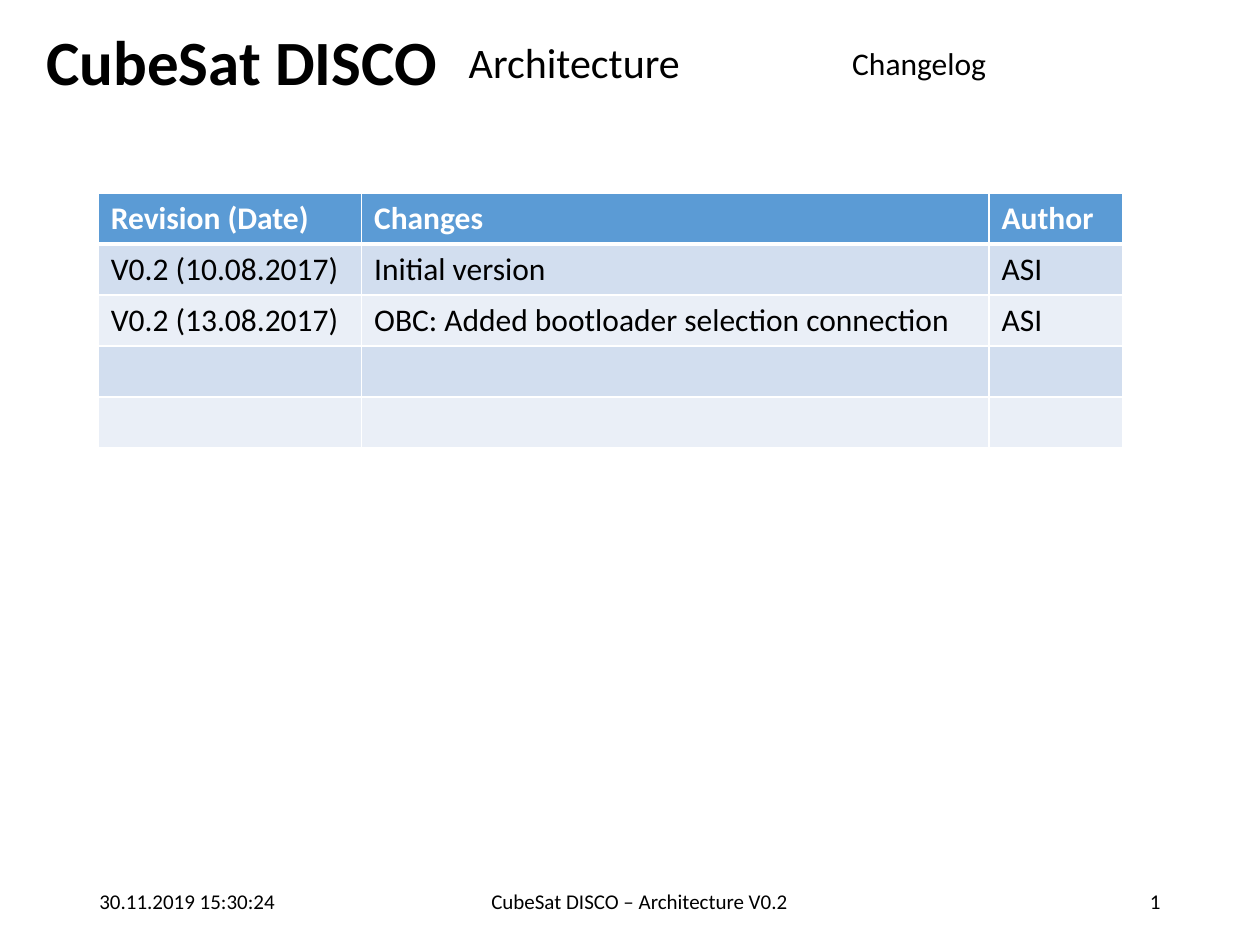
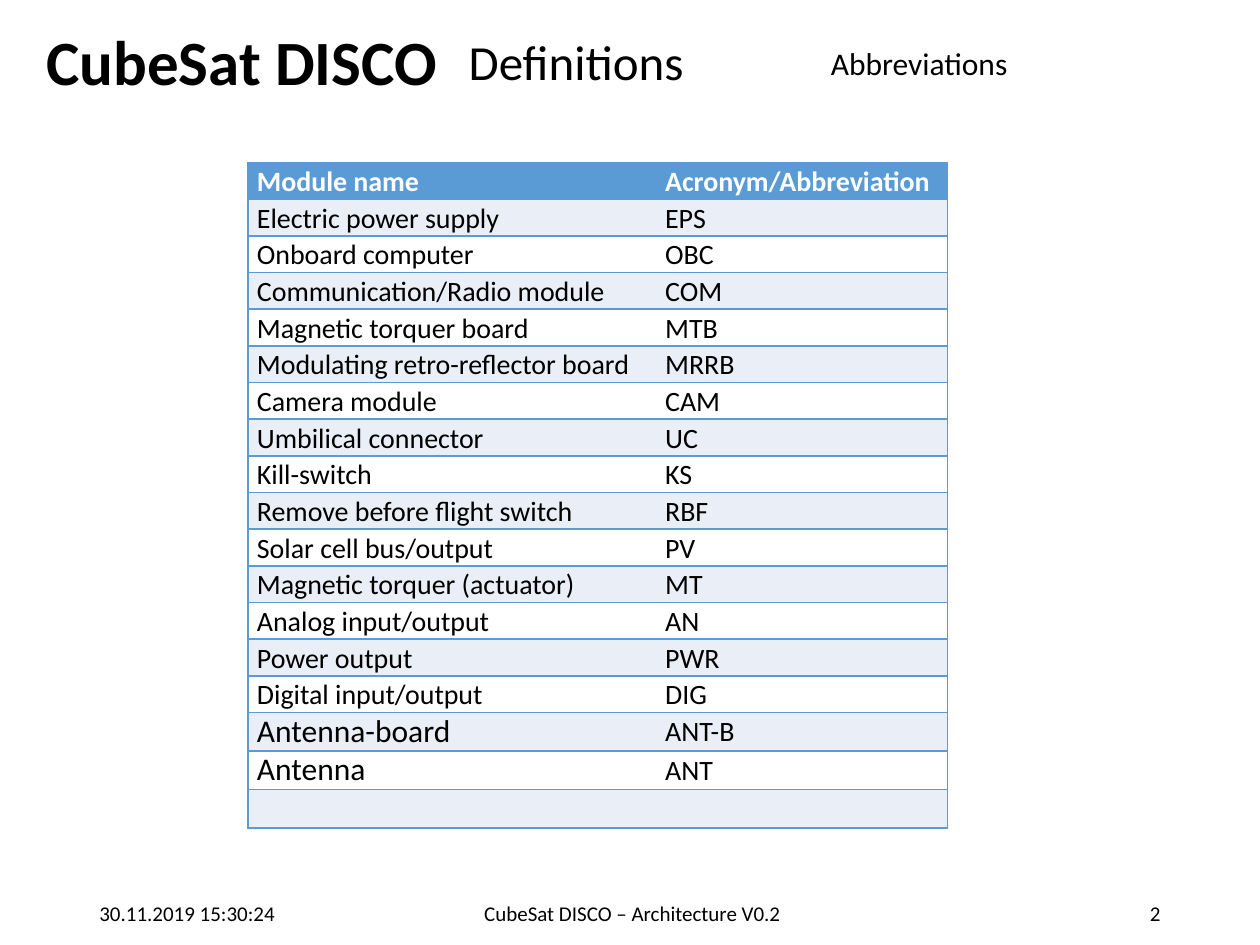
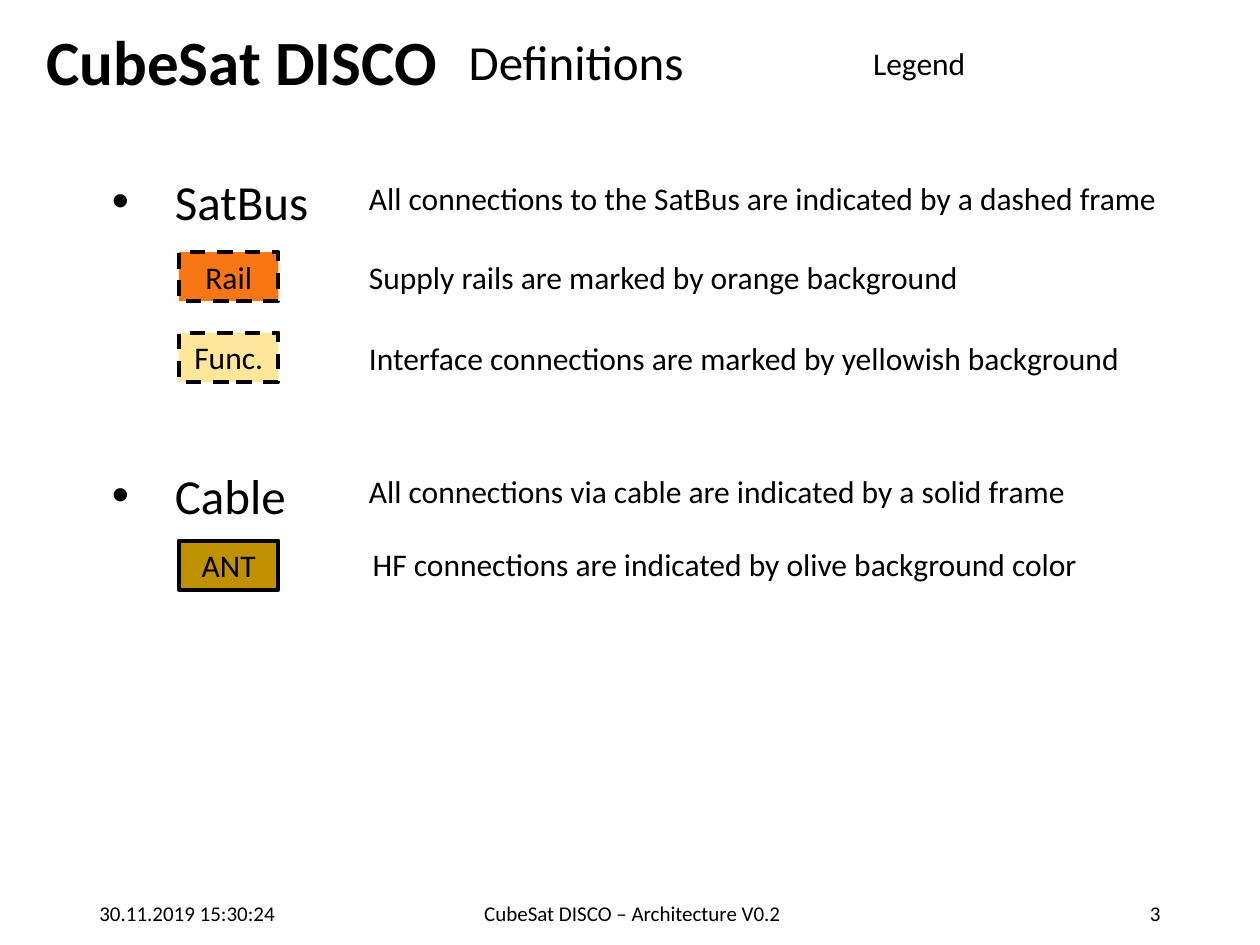
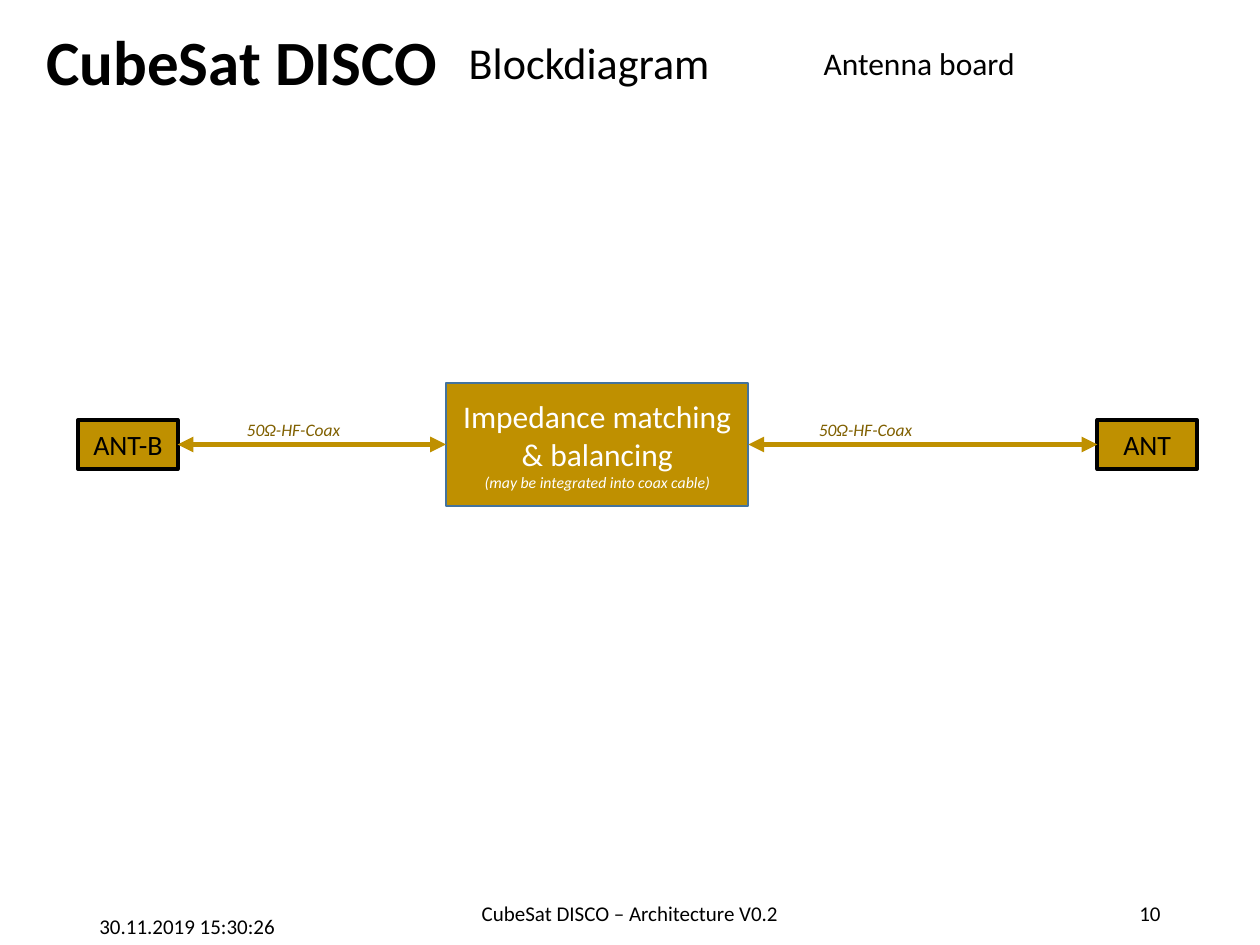
from lxml import etree
from pptx import Presentation
from pptx.dml.color import RGBColor
from pptx.enum import dml, shapes, text
from pptx.oxml import ns
from pptx.util import Pt

COLOURS = {
    "ink": "000000", "paper": "FFFFFF", "blue": "5B9BD5", "band": "D2DEEF",
    "pale": "EAEFF7", "orange": "F87614", "yellow": "FFE699",
    "olive": "BF9000", "dark olive": "806000", "steel": "43739E",
}
FONT = "Calibri"
LEFT, CENTER, RIGHT = text.PP_ALIGN.LEFT, text.PP_ALIGN.CENTER, text.PP_ALIGN.RIGHT
TOP, MIDDLE = text.MSO_ANCHOR.TOP, text.MSO_ANCHOR.MIDDLE

HEADER_TOP, HEADER_HEIGHT = 15.84, 42.48
FOOTER_TOP, FOOTER_HEIGHT, FOOTER_LINE = 500.4, 28.8, 14.6

CHANGES = [
    ("Revision (Date)", "Changes", "Author"),
    ("V0.2 (10.08.2017)", "Initial version", "ASI"),
    ("V0.2 (13.08.2017)", "OBC: Added bootloader selection connection", "ASI"),
    ("", "", ""),
    ("", "", ""),
]
ABBREVIATIONS = [
    ("Module name", "Acronym/Abbreviation"),
    ("Electric power supply", "EPS"),
    ("Onboard computer", "OBC"),
    ("Communication/Radio module", "COM"),
    ("Magnetic torquer board", "MTB"),
    ("Modulating retro-reflector board", "MRRB"),
    ("Camera module", "CAM"),
    ("Umbilical connector", "UC"),
    ("Kill-switch", "KS"),
    ("Remove before flight switch", "RBF"),
    ("Solar cell bus/output", "PV"),
    ("Magnetic torquer (actuator)", "MT"),
    ("Analog input/output", "AN"),
    ("Power output", "PWR"),
    ("Digital input/output", "DIG"),
    ("Antenna-board", "ANT-B"),
    ("Antenna", "ANT"),
    ("", ""),
]


def rgb(name):
    return RGBColor.from_string(COLOURS[name])


def assign(obj, **values):
    for key, value in values.items():
        setattr(obj, key, value)


class Deck:
    def __init__(self):
        self.prs = Presentation()
        assign(self.prs, slide_width=Pt(720), slide_height=Pt(540))
        self.s = None

    def slide(self, title, size, subtitle, number, time="15:30:24",
              date_drop=1, drop=1, spaces=1):
        self.s = self.prs.slides.add_slide(self.prs.slide_layouts[5])
        self.label("CubeSat DISCO", 19.44, HEADER_TOP, 241.2, HEADER_HEIGHT,
                   size=36, bold=True, anchor=MIDDLE, line_spacing=0.9)
        sp = self.s.shapes.title
        assign(sp, left=Pt(260.64), top=Pt(HEADER_TOP), width=Pt(162), height=Pt(HEADER_HEIGHT))
        self.fill_text(sp.text_frame, title, size=size, anchor=MIDDLE, line_spacing=0.9)
        self.label(subtitle, 422.64, HEADER_TOP, 205.2, HEADER_HEIGHT,
                   align=CENTER, anchor=MIDDLE, line_spacing=0.9, space_before=Pt(10))
        footers = [
            (f"30.11.2019 {time}", 49.68, 162, LEFT, date_drop, 0),
            ("CubeSat DISCO – Architecture V0.2", 238.32, 243.36, CENTER, drop, spaces),
            (str(number), 508.32, 162, RIGHT, drop, 0),
        ]
        for words, left, width, align, lines, gap in footers:
            sp = self.label(words, left, FOOTER_TOP, width, FOOTER_HEIGHT, size=12, align=align)
            assign(sp.text_frame, margin_left=Pt(7.2 + 2.7 * gap), margin_bottom=0,
                   margin_top=Pt(7.1 + FOOTER_LINE / 2 * lines))

    def fill_text(self, tf, words, anchor=TOP, **fmt):
        assign(tf, word_wrap=True, auto_size=text.MSO_AUTO_SIZE.NONE, vertical_anchor=anchor)
        self.paragraph(tf.paragraphs[0], words, **fmt)

    def paragraph(self, p, words, size=18, colour="ink", bold=False, italic=False,
                  align=LEFT, note=None, **spacing):
        assign(p, alignment=align, **spacing)
        runs = [(words, size, italic)] + ([(note, 9, True)] if note else [])
        for i, (part, points, slanted) in enumerate(runs):
            if i:
                p.add_line_break()
            r = p.add_run()
            r.text = part
            assign(r.font, name=FONT, size=Pt(points), bold=bold, italic=slanted)
            r.font.color.rgb = rgb(colour)

    def label(self, words, left, top, width, height, **fmt):
        sp = self.s.shapes.add_textbox(Pt(left), Pt(top), Pt(width), Pt(height))
        self.fill_text(sp.text_frame, words, **fmt)
        return sp

    def bullets(self, items, left, top, width, height, size, gap, indent=36):
        sp = self.s.shapes.add_textbox(Pt(left), Pt(top), Pt(width), Pt(height))
        tf = sp.text_frame
        tf.word_wrap = True
        for i, words in enumerate(items):
            p = tf.add_paragraph() if i else tf.paragraphs[0]
            self.paragraph(p, words, size=size, space_before=Pt(gap if i else 0))
            pPr = p._p.get_or_add_pPr()
            pPr.set("marL", str(Pt(indent)))
            pPr.set("indent", str(-Pt(indent)))
            etree.SubElement(pPr, ns.qn("a:buFont"), typeface="Arial")
            etree.SubElement(pPr, ns.qn("a:buChar"), char="•")

    def box(self, words, left, top, width, height, fill, line="ink", weight=2.25,
            dashed=False, **fmt):
        sp = self.s.shapes.add_shape(shapes.MSO_SHAPE.RECTANGLE,
                                     Pt(left), Pt(top), Pt(width), Pt(height))
        sp.shadow.inherit = False
        sp.fill.solid()
        sp.fill.fore_color.rgb = rgb(fill)
        sp.line.color.rgb = rgb(line)
        sp.line.width = Pt(weight)
        if dashed:
            sp.line.dash_style = dml.MSO_LINE.DASH
        self.fill_text(sp.text_frame, words, anchor=MIDDLE, align=CENTER, **fmt)
        return sp

    def arrow(self, start, end, colour, weight=3):
        c = self.s.shapes.add_connector(shapes.MSO_CONNECTOR.STRAIGHT, 0, 0, 0, 0)
        c.begin_connect(start, 3)
        c.end_connect(end, 1)
        c.line.color.rgb = rgb(colour)
        c.line.width = Pt(weight)
        ln = c.line._get_or_add_ln()
        for tag in ("a:headEnd", "a:tailEnd"):
            etree.SubElement(ln, ns.qn(tag), type="triangle")
        etree.SubElement(c._element.spPr, ns.qn("a:effectLst"))

    def border(self, cell, **sides):
        tcPr = cell._tc.get_or_add_tcPr()
        for i, side in enumerate("LRTB"):
            colour, weight = sides[side]
            ln = etree.Element(ns.qn(f"a:ln{side}"), w=str(Pt(weight)))
            if colour:
                solid = etree.SubElement(ln, ns.qn("a:solidFill"))
                etree.SubElement(solid, ns.qn("a:srgbClr"), val=COLOURS[colour])
            else:
                etree.SubElement(ln, ns.qn("a:noFill"))
            tcPr.insert(i, ln)

    def table(self, rows, left, top, widths, heights, bands, rule,
              inner=None, header_rule=1, margins=None, fmt_at=lambda i, j: {}):
        sp = self.s.shapes.add_table(len(rows), len(widths), Pt(left), Pt(top),
                                     Pt(sum(widths)), Pt(sum(heights)))
        tbl = sp.table
        for col, width in zip(tbl.columns, widths):
            col.width = Pt(width)
        for i, row in enumerate(rows):
            tbl.rows[i].height = Pt(heights[i])
            for j, words in enumerate(row):
                cell = tbl.cell(i, j)
                assign(cell, **(margins or {}))
                cell.fill.solid()
                cell.fill.fore_color.rgb = rgb(bands[(i - 1) % 2] if i else "blue")
                self.border(cell,
                            L=(inner if j else rule, 1),
                            R=(inner if j < len(widths) - 1 else rule, 1),
                            T=(rule, header_rule if i == 1 else 1),
                            B=(rule, header_rule if i == 0 else 1))
                if words:
                    self.paragraph(cell.text_frame.paragraphs[0], words, bold=i == 0,
                                   colour="ink" if i else "paper", **fmt_at(i, j))


def changelog(deck):
    deck.slide("Architecture", 24, "Changelog", 1, date_drop=0, drop=0, spaces=4)
    deck.table(CHANGES, 56.16, 110.16, (150.48, 358.56, 76.32), [29.2] * len(CHANGES),
               ("band", "pale"), "paper", inner="paper", header_rule=3)


def abbreviations(deck):
    deck.slide("Definitions", 28, "Abbreviations", 2)

    def fmt_at(i, j):
        return {"size": 18} if i > 14 and j == 0 else {"size": 16, "line_spacing": 1.07}

    deck.table(ABBREVIATIONS, 141.84, 92.88, (233.28, 166.32), [19.44] * 14 + [10.08] * 4,
               ("pale", "paper"), "blue", fmt_at=fmt_at,
               margins={"margin_left": Pt(5), "margin_right": Pt(5),
                        "margin_top": 0, "margin_bottom": 0})


def legend(deck):
    deck.slide("Definitions", 28, "Legend", 3)
    deck.bullets(("SatBus", "Cable"), 56.88, 94.32, 128.16, 210.96, size=28, gap=134.5)
    for words, top, fill, dashed in (("Func.", 190.08, "yellow", True),
                                     ("Rail", 144, "orange", True),
                                     ("ANT", 308.88, "olive", False)):
        deck.box(words, 102.24, top, 56.88, 28.08, fill, dashed=dashed)
    for words, left, top, width in (
            ("Supply rails are marked by orange background", 203.76, 144, 354.96),
            ("Interface connections are marked by yellowish background", 203.76, 190.08, 448.56),
            ("All connections to the SatBus are indicated by a dashed frame", 203.76, 98.64, 487.44),
            ("All connections via cable are indicated by a solid frame", 203.76, 266.4, 421.92),
            ("HF connections are indicated by olive background color", 205.92, 308.16, 421.92)):
        deck.label(words, left, top, width, 28.8)


def antenna_board(deck):
    deck.slide("Blockdiagram", 25.2, "Antenna board", 10, time="15:30:26",
               date_drop=2, spaces=0)
    middle = 254
    matching = deck.box("Impedance matching & balancing", 254.88, middle - 35.28, 172.8, 70.56,
                        "olive", line="steel", weight=1, colour="paper",
                        note="(may be integrated into coax cable)")
    board, antenna = [deck.box(words, left, middle - 14.04, 56.88, 28.08, "olive", size=16)
                      for words, left in (("ANT-B", 44.64), ("ANT", 627.12))]
    for start, end, left in ((board, matching, 133.92), (matching, antenna, 460.8)):
        deck.arrow(start, end, "olive")
        deck.label("50Ω-HF-Coax", left, 236.16, 80.64, 19.44,
                   size=10, italic=True, colour="dark olive")


def main():
    deck = Deck()
    for build in (changelog, abbreviations, legend, antenna_board):
        build(deck)
    deck.prs.save("out.pptx")


if __name__ == "__main__":
    main()
